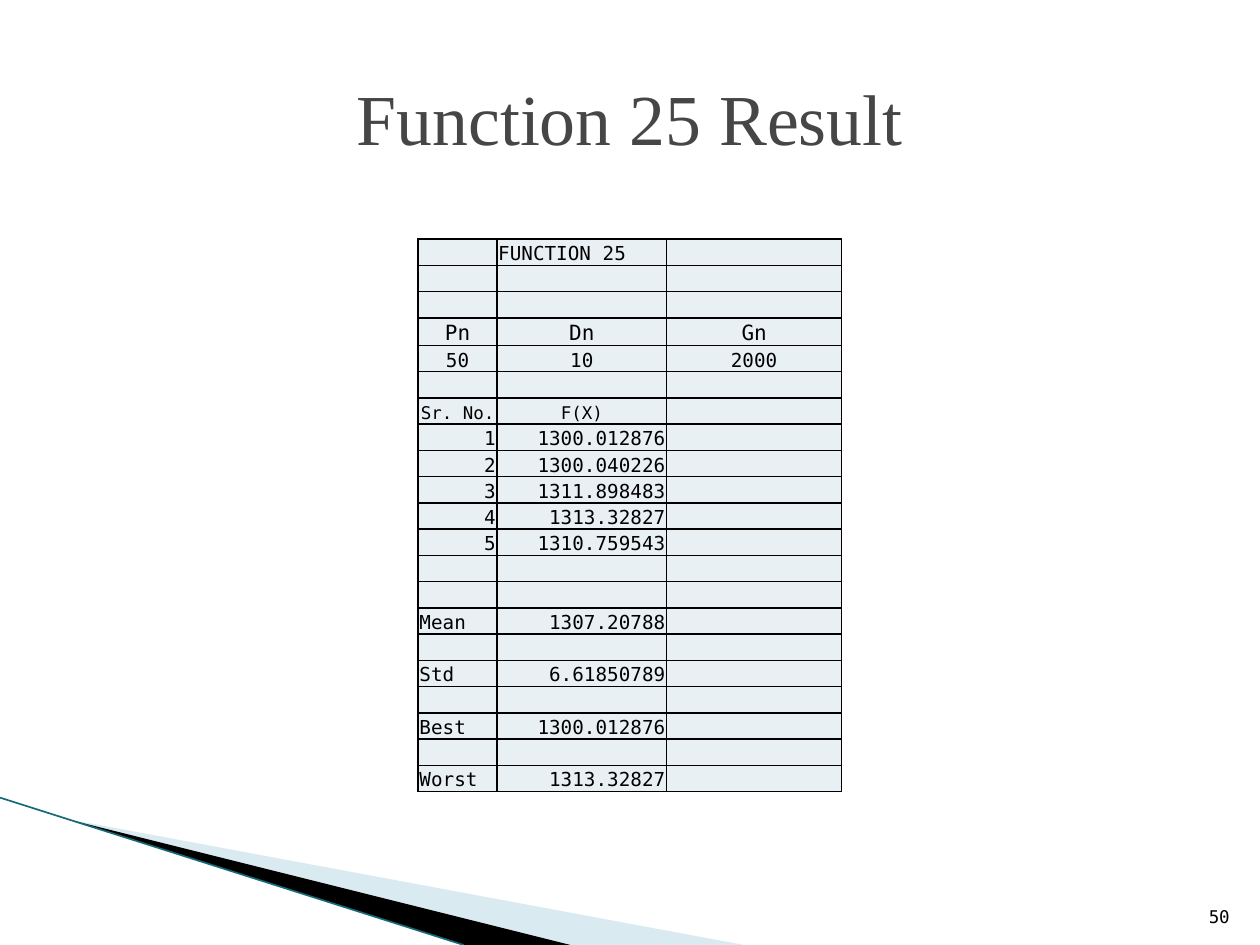
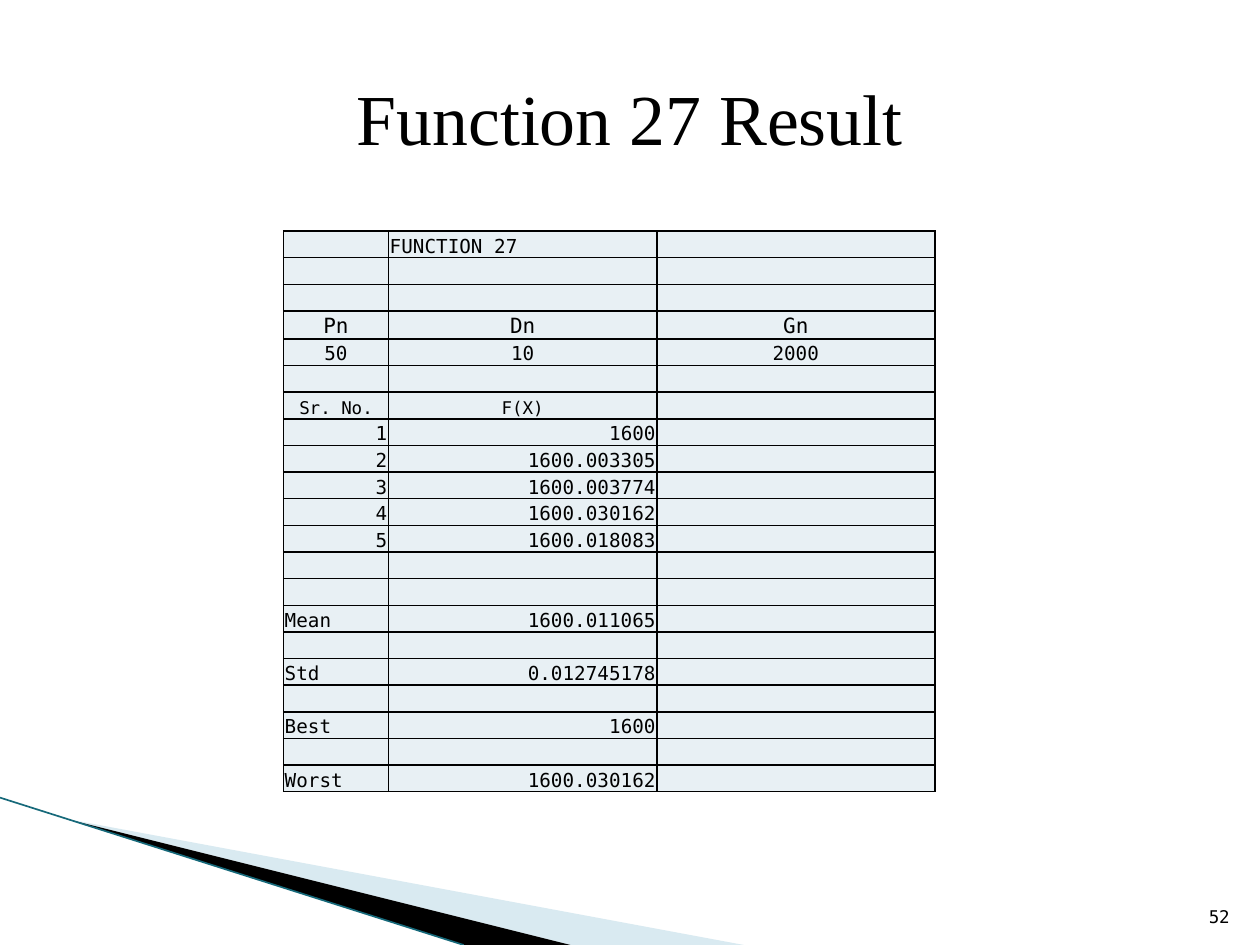
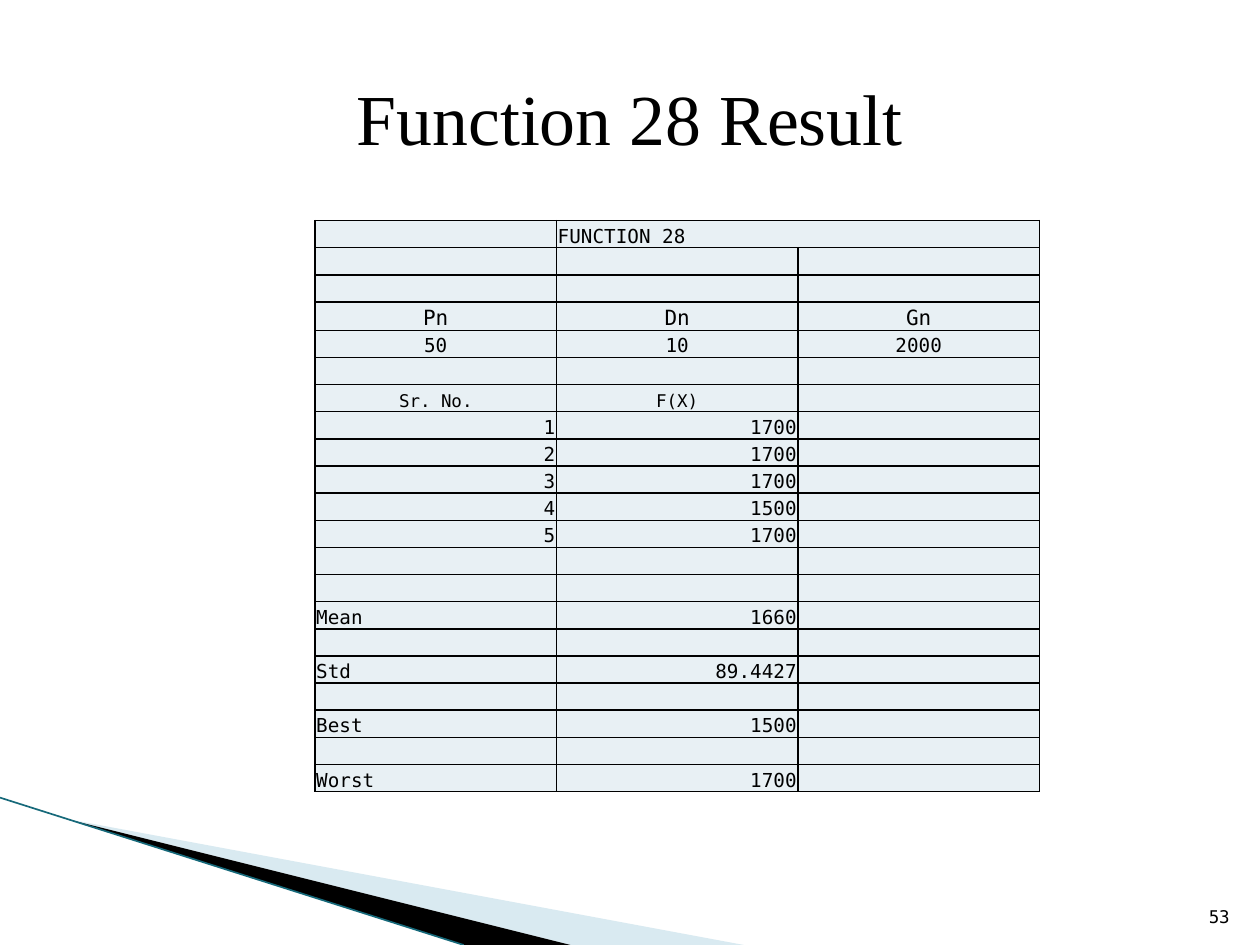
from lxml import etree
from pptx import Presentation
from pptx import util as u
from pptx.dml.color import RGBColor
from pptx.enum import shapes, text
from pptx.oxml.ns import qn

COLORS = {"ink": "000000", "gray": "464646", "cell": "E8F0F4",
          "light": "A0CBDC", "teal": "16697A"}
MONO, SERIF = "DejaVu Sans Mono", "Times New Roman"
LEFT, CENTER, RIGHT = (text.PP_ALIGN.LEFT, text.PP_ALIGN.CENTER,
                       text.PP_ALIGN.RIGHT)


def rgb(name):
    """Return the palette colour of that name."""
    return RGBColor.from_string(COLORS[name])


def write(tf, content, size=11, font=MONO, color="ink", align=LEFT):
    """Put one formatted run into a text frame."""
    p = tf.paragraphs[0]
    p.alignment = align
    r = p.add_run()
    r.text = content
    r.font.size = u.Pt(size)
    r.font.name = font
    r.font.color.rgb = rgb(color)


def set_borders(cell, width=1):
    """Draw a solid line on all four sides of a cell."""
    tc_pr = cell._tc.get_or_add_tcPr()
    for side in ("lnL", "lnR", "lnT", "lnB"):
        ln = etree.SubElement(tc_pr, qn(f"a:{side}"), w=str(u.Pt(width)))
        fill = etree.SubElement(ln, qn("a:solidFill"))
        etree.SubElement(fill, qn("a:srgbClr"), val=COLORS["ink"])


class Deck:
    """Holds the presentation, its style and the current slide."""

    def __init__(self):
        """Start an empty 10 by 7.5 inch presentation."""
        self.prs = Presentation()
        self.prs.slide_width, self.prs.slide_height = u.Pt(720), u.Pt(540)
        self.s = None

    def new_slide(self, title, number, color="ink"):
        """Add a slide with its corner bands, page number and title."""
        self.s = self.prs.slides.add_slide(self.prs.slide_layouts[5])
        self.bands()
        self.page_number(number)
        self.title(title, color)

    def title(self, content, color):
        """Fill the title placeholder."""
        sp = self.s.shapes.title
        sp.left, sp.top, sp.width, sp.height = map(u.Pt, (36, 21.6, 648, 90))
        tf = sp.text_frame
        tf.auto_size = text.MSO_AUTO_SIZE.NONE
        tf.vertical_anchor = text.MSO_ANCHOR.MIDDLE
        write(tf, content, size=41, font=SERIF, color=color, align=CENTER)

    def page_number(self, number):
        """Write the page number at the bottom right."""
        sp = self.s.shapes.add_textbox(*map(u.Pt, (681, 504.7, 28.8, 28.8)))
        tf = sp.text_frame
        tf.word_wrap = True
        tf.vertical_anchor = text.MSO_ANCHOR.BOTTOM
        write(tf, str(number), size=10, align=RIGHT)

    def band(self, points, color, alpha=None):
        """Draw a filled polygon, alpha being its opacity in percent."""
        fb = self.s.shapes.build_freeform(*points[0], scale=u.Pt(1))
        fb.add_line_segments(points[1:], close=True)
        sp = fb.convert_to_shape()
        sp.shadow.inherit = False
        sp.line.fill.background()
        sp.fill.solid()
        sp.fill.fore_color.rgb = rgb(color)
        if alpha is not None:
            clr = sp._element.spPr.find(".//" + qn("a:srgbClr"))
            etree.SubElement(clr, qn("a:alpha"), val=str(alpha * 1000))

    def bands(self):
        """Draw the wedges and the line in the bottom left corner."""
        self.band([(38, 467.5), (425, 540), (326, 540)], "light", alpha=40)
        self.band([(38, 467.5), (326, 540), (265, 540)], "ink")
        line = self.s.shapes.add_connector(
            shapes.MSO_CONNECTOR.STRAIGHT, *map(u.Pt, (0, 455.8, 265, 540)))
        line.line.color.rgb = rgb("teal")
        line.line.width = u.Pt(0.95)
        etree.SubElement(line._element.spPr, qn("a:effectLst"))

    def cell(self, cell, content, size, align):
        """Format one table cell and write its text, if any."""
        set_borders(cell)
        cell.fill.solid()
        cell.fill.fore_color.rgb = rgb("cell")
        cell.vertical_anchor = text.MSO_ANCHOR.BOTTOM
        cell.margin_left = cell.margin_right = cell.margin_top = u.Pt(0.72)
        cell.margin_bottom = 0
        if content:
            write(cell.text_frame, content, size=size, align=align)
        else:
            etree.SubElement(cell.text_frame.paragraphs[0]._p,
                             qn("a:endParaRPr"), sz=str(size * 100))

    def table(self, rows, left, top, widths, bottom=452.6, merge=False):
        """Add a table of (texts, size, alignments) rows ending at bottom."""
        frame = self.s.shapes.add_table(
            len(rows), len(widths), u.Pt(left), u.Pt(top),
            u.Pt(sum(widths)), u.Pt(bottom - top))
        tbl = frame.table
        for col, width in zip(tbl.columns, widths):
            col.width = u.Pt(width)
        extra = 0.75  # the row with larger type is a little taller
        height = (bottom - top - extra) / len(rows)
        for i, (texts, size, aligns) in enumerate(rows):
            tbl.rows[i].height = u.Pt(height + extra * (size == 12))
            for j, (content, align) in enumerate(zip(texts, aligns)):
                self.cell(tbl.cell(i, j), content, size, align)
        if merge:
            tbl.cell(0, 1).merge(tbl.cell(0, 2))


def result_rows(function, runs, stats):
    """Lay out run values and statistics as table rows."""
    centered, numbers, labeled = [CENTER] * 3, [RIGHT] * 3, [LEFT, RIGHT, LEFT]
    blank = (("", "", ""), 11, [LEFT] * 3)
    rows = [(("", f"FUNCTION {function}", ""), 11, [LEFT] * 3), blank, blank,
            (("Pn", "Dn", "Gn"), 12, centered),
            (("50", "10", "2000"), 11, centered), blank,
            (("Sr. No.", "F(X)", ""), 10, centered)]
    rows += [((str(n), value, ""), 11, numbers)
             for n, value in enumerate(runs, 1)]
    rows.append(blank)
    for label, value in zip(("Mean", "Std", "Best", "Worst"), stats):
        rows += [blank, ((label, value, ""), 11, labeled)]
    return rows


RESULTS = [
    dict(function=25, page=50, color="gray",
         runs=("1300.012876", "1300.040226", "1311.898483", "1313.32827",
               "1310.759543"),
         stats=("1307.20788", "6.61850789", "1300.012876", "1313.32827"),
         place=dict(left=239, top=136.7, widths=(45, 97, 100))),
    dict(function=27, page=52, color="ink",
         runs=("1600", "1600.003305", "1600.003774", "1600.030162",
               "1600.018083"),
         stats=("1600.011065", "0.012745178", "1600", "1600.030162"),
         place=dict(left=162, top=132, widths=(60, 153.4, 158.8))),
    dict(function=28, page=53, color="ink",
         runs=("1700", "1700", "1700", "1500", "1700"),
         stats=("1660", "89.4427", "1500", "1700"),
         place=dict(left=180, top=126, widths=(138, 138, 138), merge=True)),
]

deck = Deck()
for res in RESULTS:
    deck.new_slide(f"Function {res['function']} Result", res["page"],
                   res["color"])
    deck.table(result_rows(res["function"], res["runs"], res["stats"]),
               **res["place"])
deck.prs.save("out.pptx")
